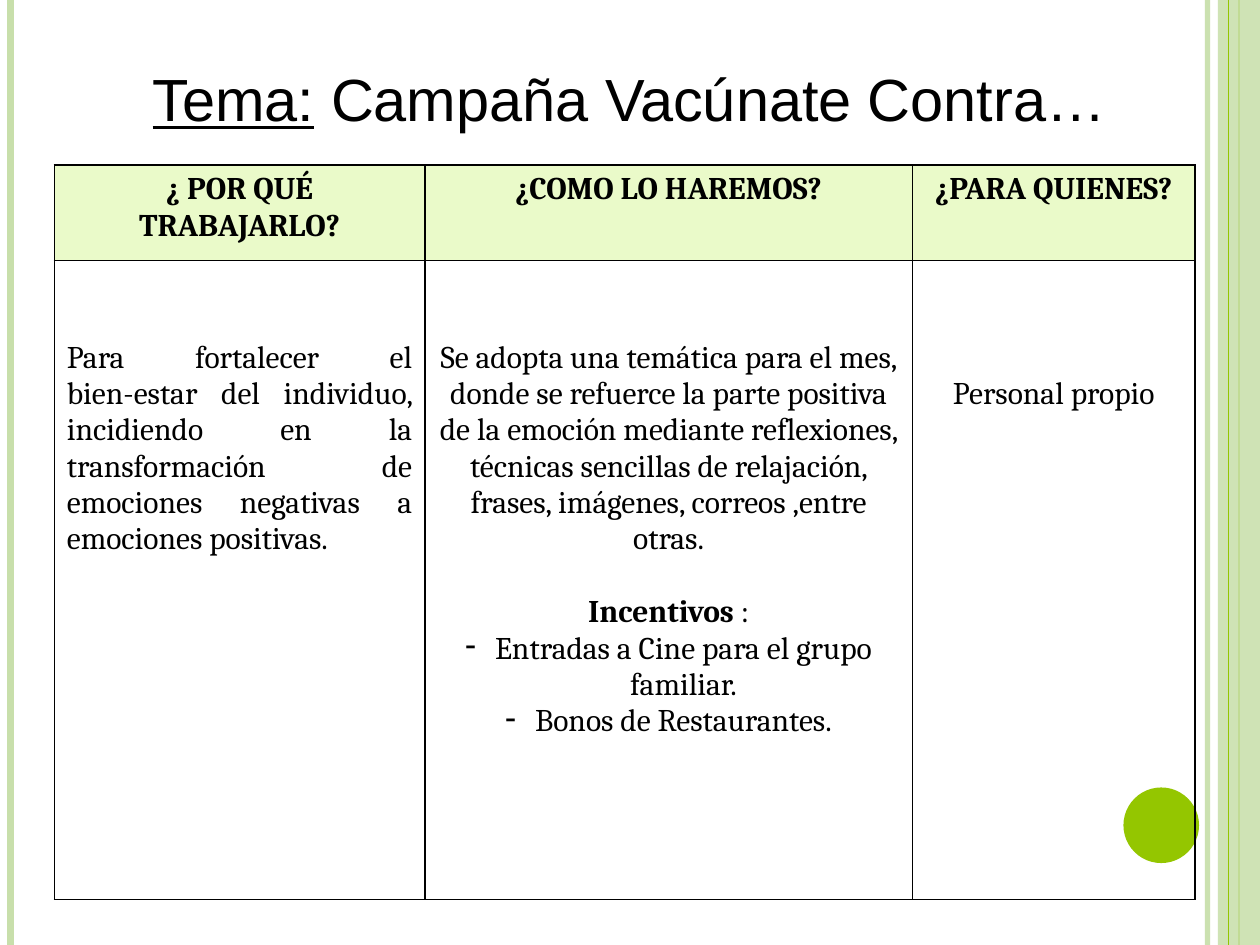
from lxml import etree
from pptx import Presentation
from pptx import util as u
from pptx.dml.color import RGBColor
from pptx.enum import shapes, text
from pptx.oxml.ns import qn

BLACK = RGBColor(0x00, 0x00, 0x00)
GREEN = RGBColor(0x94, 0xC6, 0x00)
SOFT_GREEN = RGBColor(0xC8, 0xDF, 0xAB)
HEADER_GREEN = RGBColor(0xEA, 0xFA, 0xC9)
WIDTH, HEIGHT = 720, 540
LINE = 20.8
CELL_INSET = 3.6
CENTER, JUSTIFY = text.PP_ALIGN.CENTER, text.PP_ALIGN.JUSTIFY

HEADERS = ["¿ POR QUÉ TRABAJARLO?", "¿COMO LO HAREMOS?", "¿PARA QUIENES?"]
REASON = ("Para fortalecer el\vbien-estar del individuo, incidiendo en la "
          "transformación de emociones negativas a emociones positivas.")
METHOD = ("Se adopta una temática para el mes, donde se refuerce la parte "
          "positiva de la emoción mediante reflexiones, técnicas sencillas de "
          "relajación, frases, imágenes, correos ,entre otras.")
INCENTIVES = ["Entradas a Cine para el grupo familiar.", "Bonos de Restaurantes."]
AUDIENCE = "Personal propio"


def set_alpha(shape, percent):
    """Make the first solid colour of a shape partly transparent."""
    color = next(shape._element.spPr.iter(qn("a:srgbClr")))
    etree.SubElement(color, qn("a:alpha")).set("val", str(percent * 1000))


def add_stripe(page, x, color, weight):
    """Draw a vertical line over the full height of the page."""
    stripe = page.shapes.add_connector(
        shapes.MSO_CONNECTOR.STRAIGHT, u.Pt(x), 0, u.Pt(x), u.Pt(HEIGHT))
    stripe.line.color.rgb = color
    stripe.line.width = u.Pt(weight)
    etree.SubElement(stripe._element.spPr, qn("a:effectLst"))
    return stripe


def add_block(page, kind, left, top, width, height, color):
    """Draw a filled shape without an outline."""
    block = page.shapes.add_shape(
        kind, u.Pt(left), u.Pt(top), u.Pt(width), u.Pt(height))
    block.shadow.inherit = False
    block.fill.solid()
    block.fill.fore_color.rgb = color
    block.line.fill.background()
    return block


def add_decoration(page):
    """Draw the side stripes and the corner disc."""
    set_alpha(add_stripe(page, 690, SOFT_GREEN, 3), 93)
    add_stripe(page, 6, SOFT_GREEN, 4.5)
    add_stripe(page, 708, GREEN, 1.5)
    band = add_block(page, shapes.MSO_SHAPE.RECTANGLE, 696, 0, 24, HEIGHT, SOFT_GREEN)
    set_alpha(band, 87)
    add_stripe(page, 702, GREEN, 0.75)
    add_block(page, shapes.MSO_SHAPE.OVAL, 642, 450, 43.2, 43.2, GREEN)


def style_paragraph(para, size, name, align=CENTER, bold=False):
    """Set the alignment and font of a paragraph."""
    para.alignment = align
    para.font.size = u.Pt(size)
    para.font.name = name
    para.font.bold = bold
    para.font.color.rgb = BLACK


def add_title(page):
    """Write the title with its underlined label."""
    box = page.shapes.add_textbox(u.Pt(48), u.Pt(31.7), u.Pt(623.5), u.Pt(172))
    box.text_frame.word_wrap = True
    para = box.text_frame.paragraphs[0]
    label = para.add_run()
    label.text = "Tema:"
    label.font.underline = True
    para.add_run().text = " Campaña Vacúnate Contra…"
    style_paragraph(para, 34, "Arial")


def add_borders(cell):
    """Give a cell black borders on all sides."""
    properties = cell._tc.get_or_add_tcPr()
    for index, side in enumerate(("a:lnL", "a:lnR", "a:lnT", "a:lnB")):
        border = etree.Element(qn(side), w=str(u.Pt(1)))
        fill = etree.SubElement(border, qn("a:solidFill"))
        etree.SubElement(fill, qn("a:srgbClr"), val=str(BLACK))
        properties.insert(index, border)


def write_cell(cell, content, align=CENTER, bold=False, skipped_lines=0):
    """Write the first paragraph of a cell, some lines below its top."""
    cell.margin_top = u.Pt(CELL_INSET + skipped_lines * LINE)
    para = cell.text_frame.paragraphs[0]
    para.text = content
    style_paragraph(para, 18, "Cambria", align, bold)


def add_incentives(cell):
    """Append the incentives heading and its dashed list."""
    heading = cell.text_frame.add_paragraph()
    heading.space_before = u.Pt(LINE)
    label = heading.add_run()
    label.text = "Incentivos"
    label.font.bold = True
    heading.add_run().text = " :"
    style_paragraph(heading, 18, "Cambria")
    for incentive in INCENTIVES:
        para = cell.text_frame.add_paragraph()
        para.text = incentive
        properties = para._p.get_or_add_pPr()
        properties.set("marL", str(u.Pt(17)))
        properties.set("indent", str(-u.Pt(17)))
        etree.SubElement(properties, qn("a:buChar"), char="-")
        style_paragraph(para, 18, "Cambria")


def add_plan(page):
    """Add the table of reasons, methods and audience."""
    frame = page.shapes.add_table(
        2, 3, u.Pt(31), u.Pt(94.3), u.Pt(652), u.Pt(419.8))
    table = frame.table
    for column, width in zip(table.columns, (211.8, 278.6, 161.6)):
        column.width = u.Pt(width)
    for row, height in zip(table.rows, (54.7, 365.1)):
        row.height = u.Pt(height)
    for cell in table.iter_cells():
        cell.fill.background()
        add_borders(cell)
    for cell, header in zip(table.rows[0].cells, HEADERS):
        cell.fill.solid()
        cell.fill.fore_color.rgb = HEADER_GREEN
        write_cell(cell, header, bold=True)
    reason, method, audience = table.rows[1].cells
    write_cell(reason, REASON, JUSTIFY, skipped_lines=2)
    write_cell(method, METHOD, skipped_lines=2)
    add_incentives(method)
    write_cell(audience, AUDIENCE, skipped_lines=3)


def main():
    """Build the campaign slide."""
    deck = Presentation()
    deck.slide_width, deck.slide_height = u.Pt(WIDTH), u.Pt(HEIGHT)
    page = deck.slides.add_slide(deck.slide_layouts[6])
    add_decoration(page)
    add_title(page)
    add_plan(page)
    deck.save("out.pptx")


if __name__ == "__main__":
    main()
